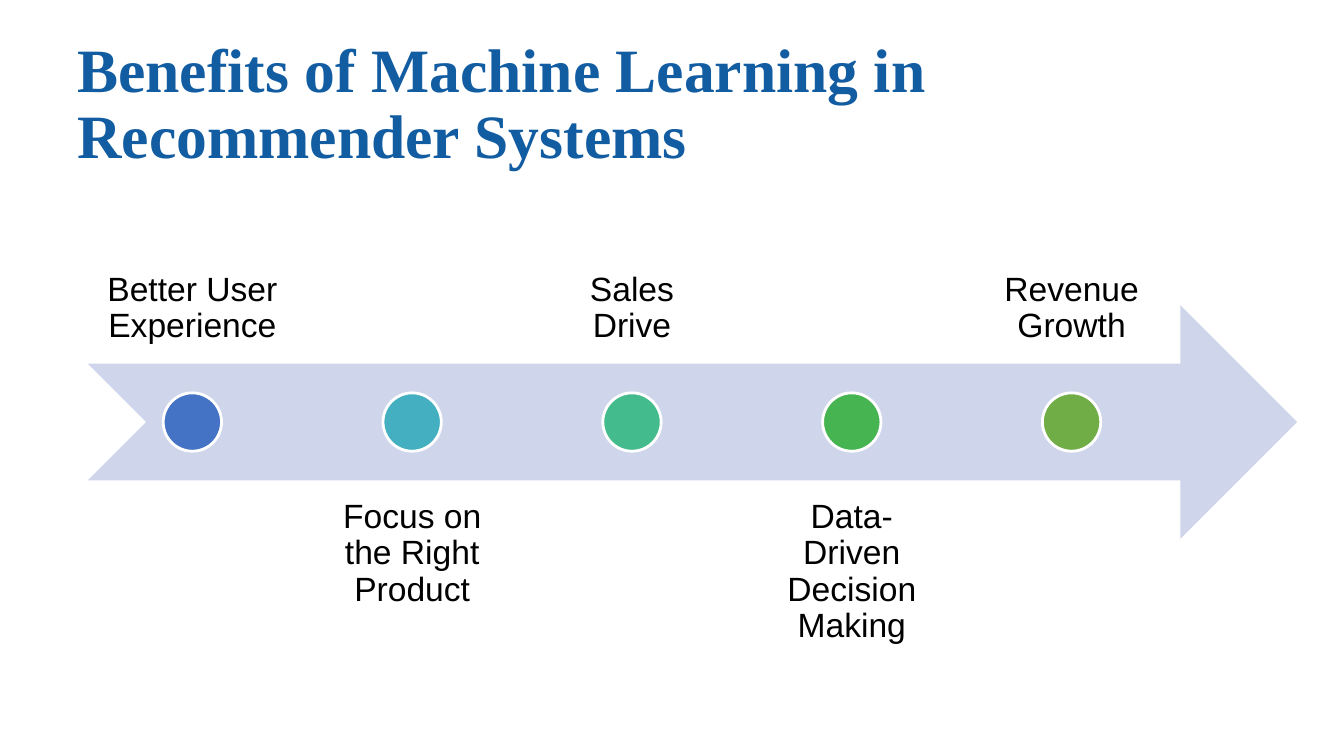
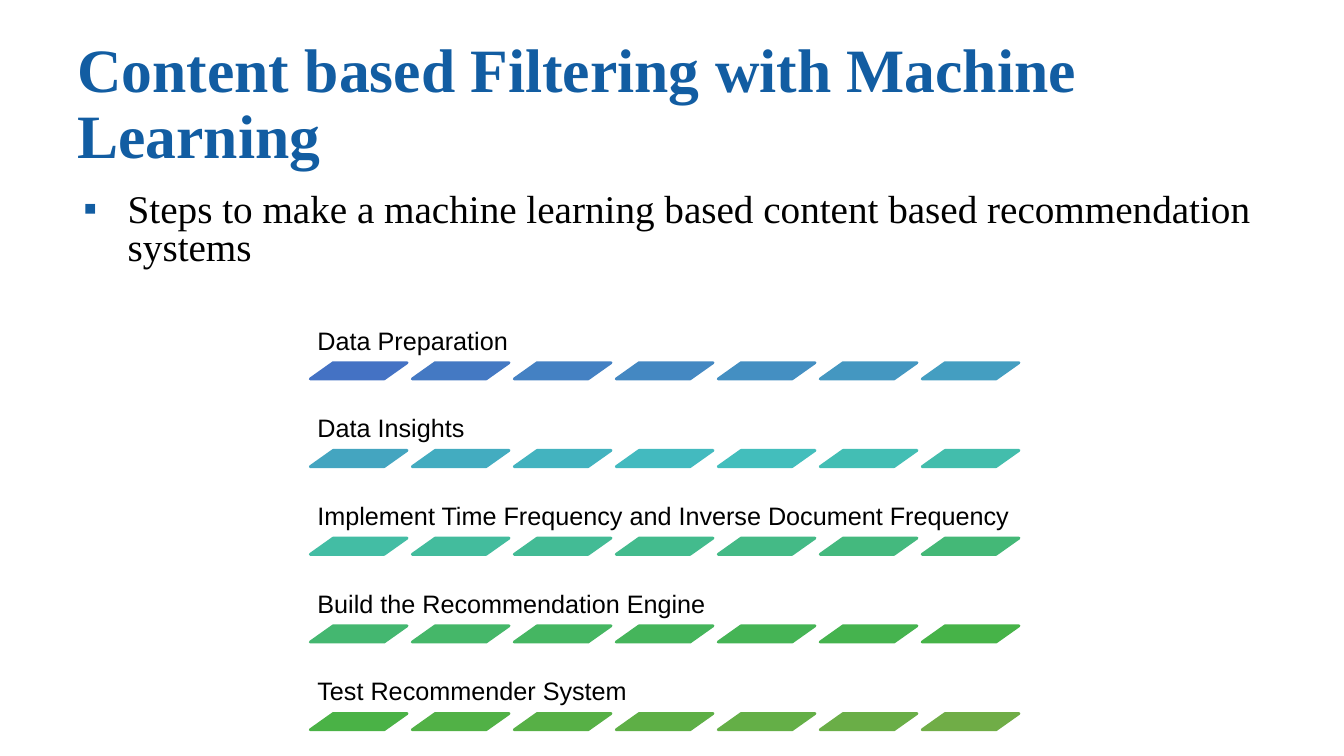
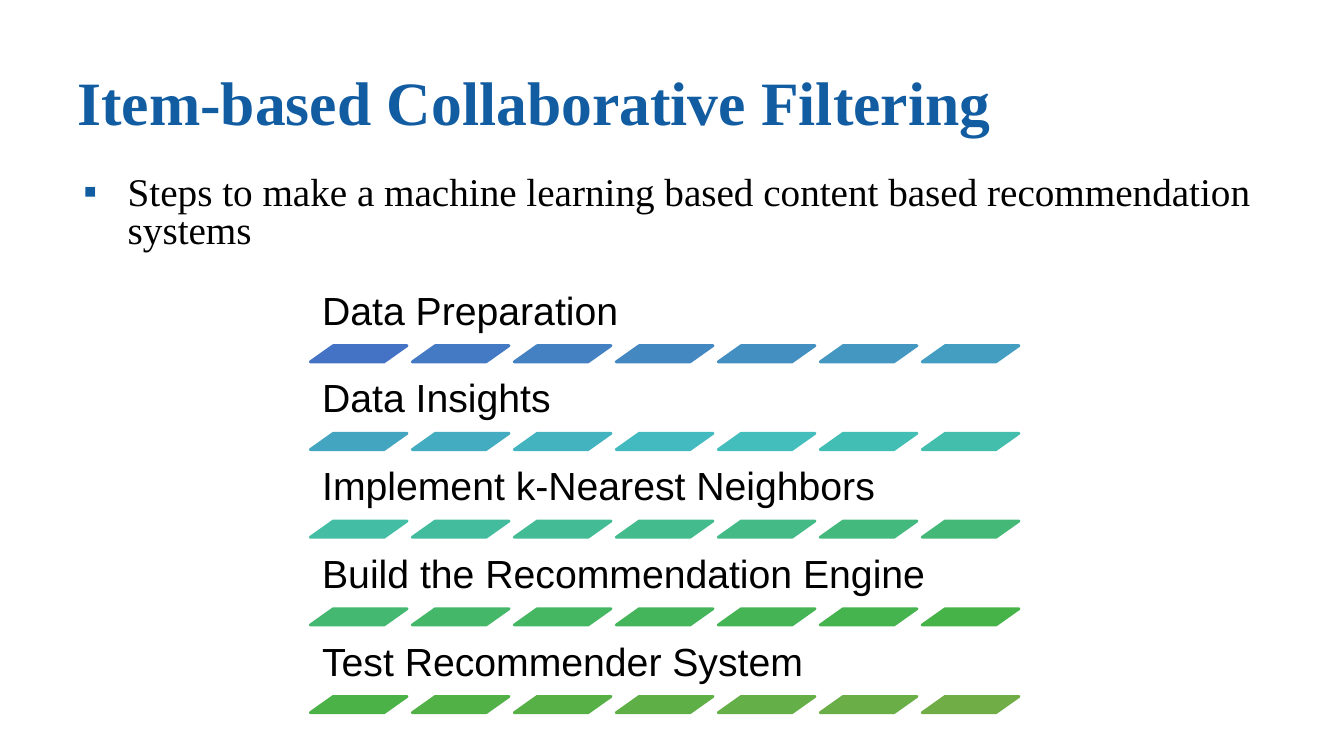
from colorsys import hls_to_rgb, rgb_to_hls
from dataclasses import dataclass

from lxml import etree
from pptx import Presentation
from pptx.dml.color import RGBColor
from pptx.enum.shapes import MSO_SHAPE
from pptx.enum.text import MSO_ANCHOR, PP_ALIGN
from pptx.oxml.ns import qn
from pptx.util import Cm, Pt

ARROW = MSO_SHAPE.NOTCHED_RIGHT_ARROW
DOT = MSO_SHAPE.OVAL
BAR = MSO_SHAPE.PARALLELOGRAM
TOP, MIDDLE, BOTTOM = MSO_ANCHOR.TOP, MSO_ANCHOR.MIDDLE, MSO_ANCHOR.BOTTOM
LEFT, CENTER = PP_ALIGN.LEFT, PP_ALIGN.CENTER


@dataclass(frozen=True)
class Theme:
    heading: str = "125DA2"
    ink: str = "000000"
    paper: str = "FFFFFF"
    arrow: str = "CFD5EA"
    scale_start: str = "4472C4"
    scale_end: str = "70AD47"
    serif: str = "Times New Roman"
    sans: str = "Arial"
    title_size: int = 44
    body_size: int = 28
    timeline_size: int = 24
    small_step_size: int = 18
    large_step_size: int = 28
    outline: int = 2


@dataclass(frozen=True)
class Box:
    left: float
    top: float
    width: float
    height: float

    def lengths(self):
        return Cm(self.left), Cm(self.top), Cm(self.width), Cm(self.height)


THEME = Theme()
TITLE_BOX = Box(1.7, 0.71, 30.48, 3.89)
TIMELINE_BOX = Box(2.21, 3.28, 30.48, 14.71)
BULLET = "Steps to make a machine learning based content based recommendation systems"
BENEFITS = ["Better User Experience", "Focus on the Right Product", "Sales Drive",
            "Data-Driven Decision Making", "Revenue Growth"]


def steps_with(method):
    return ["Data Preparation", "Data Insights", method,
            "Build the Recommendation Engine", "Test Recommender System"]


def colour_scale(count):
    start, end = (rgb_to_hls(*(part / 255 for part in RGBColor.from_string(value)))
                  for value in (THEME.scale_start, THEME.scale_end))
    colours = []
    for index in range(count):
        share = index / (count - 1)
        mixed = [a + (b - a) * share for a, b in zip(start, end)]
        colours.append(RGBColor(*(round(part * 255) for part in hls_to_rgb(*mixed))))
    return colours


def add_text(page, box, text, size, font, colour=THEME.ink, bold=False, anchor=TOP,
             align=LEFT, spacing=0.9, insets=(0.25, 0.13)):
    frame = page.shapes.add_textbox(*box.lengths()).text_frame
    frame.word_wrap = True
    frame.vertical_anchor = anchor
    frame.margin_left = frame.margin_right = Cm(insets[0])
    frame.margin_top = frame.margin_bottom = Cm(insets[1])
    para = frame.paragraphs[0]
    para.alignment = align
    para.line_spacing = spacing
    span = para.add_run()
    span.text = text
    span.font.size = Pt(size)
    span.font.name = font
    span.font.bold = bold
    span.font.color.rgb = RGBColor.from_string(colour)
    return para


def add_figure(page, kind, box, fill, line=None):
    figure = page.shapes.add_shape(kind, *box.lengths())
    figure.shadow.inherit = False
    figure.fill.solid()
    figure.fill.fore_color.rgb = fill
    if line is None:
        figure.line.fill.background()
    else:
        figure.line.color.rgb = line
        figure.line.width = Pt(THEME.outline)
    return figure


def add_page(deck, title):
    page = deck.slides.add_slide(deck.slide_layouts[6])
    add_text(page, TITLE_BOX, title, THEME.title_size, THEME.serif, THEME.heading,
             bold=True, anchor=MIDDLE)
    return page


def add_bullet(page, box, text):
    para = add_text(page, box, text, THEME.body_size, THEME.serif, spacing=0.8)
    para.space_before = Pt(10)
    properties = para._p.get_or_add_pPr()
    properties.set("marL", str(Cm(1.27)))
    properties.set("indent", str(Cm(-1.12)))
    colour = etree.SubElement(properties, qn("a:buClr"))
    etree.SubElement(colour, qn("a:srgbClr"), val=THEME.heading)
    etree.SubElement(properties, qn("a:buFont"), typeface=THEME.sans)
    etree.SubElement(properties, qn("a:buChar"), char="▪")


def add_timeline(page, box, labels):
    band = box.height * 0.4
    dot = box.height * 0.1
    gap_share = 0.05
    count = len(labels)
    width = box.width * 0.9 / (count + (count - 1) * gap_share)
    add_figure(page, ARROW, Box(box.left, box.top + box.height * 0.3, box.width, band),
               RGBColor.from_string(THEME.arrow))
    for index, (label, colour) in enumerate(zip(labels, colour_scale(count))):
        left = box.left + index * width * (1 + gap_share)
        above = index % 2 == 0
        top = box.top if above else box.top + box.height - band
        add_text(page, Box(left, top, width, band), label, THEME.timeline_size, THEME.sans,
                 anchor=BOTTOM if above else TOP, align=CENTER, insets=(0.48, 0.48))
        add_figure(page, DOT, Box(left + (width - dot) / 2,
                                  box.top + (box.height - dot) / 2, dot, dot),
                   colour, RGBColor.from_string(THEME.paper))


def add_steps(page, box, labels, size, inset):
    bars = 7
    bar_width, bar_height, bar_pitch = 2.44, 0.41, 2.57
    label_height = 1.66
    row_pitch = (box.height - label_height - bar_height) / (len(labels) - 1)
    colours = colour_scale(len(labels) * bars)
    for row, label in enumerate(labels):
        top = box.top + row * row_pitch
        add_text(page, Box(box.left, top, box.width, label_height), label, size, THEME.sans,
                 anchor=BOTTOM, insets=(inset, inset))
        for column in range(bars):
            colour = colours[row * bars + column]
            bar = add_figure(page, BAR, Box(box.left + column * bar_pitch, top + label_height,
                                            bar_width, bar_height), colour, colour)
            bar.adjustments[0] = 1.41


def add_steps_page(deck, title, method, top, size, inset):
    page = add_page(deck, title)
    add_bullet(page, Box(1.7, top, 30.48, 2.72), BULLET)
    add_steps(page, Box(7.82, top + 2.73, 18.21, 10.91), steps_with(method), size, inset)


def main():
    deck = Presentation()
    deck.slide_width, deck.slide_height = Cm(33.87), Cm(19.05)
    page = add_page(deck, "Benefits of Machine Learning in Recommender Systems")
    add_timeline(page, TIMELINE_BOX, BENEFITS)
    add_steps_page(deck, "Content based Filtering with Machine Learning",
                   "Implement Time Frequency and Inverse Document Frequency",
                   4.75, THEME.small_step_size, 0.18)
    add_steps_page(deck, "Item-based Collaborative Filtering",
                   "Implement k-Nearest Neighbors", 4.32, THEME.large_step_size, 0.3)
    deck.save("out.pptx")


if __name__ == "__main__":
    main()
